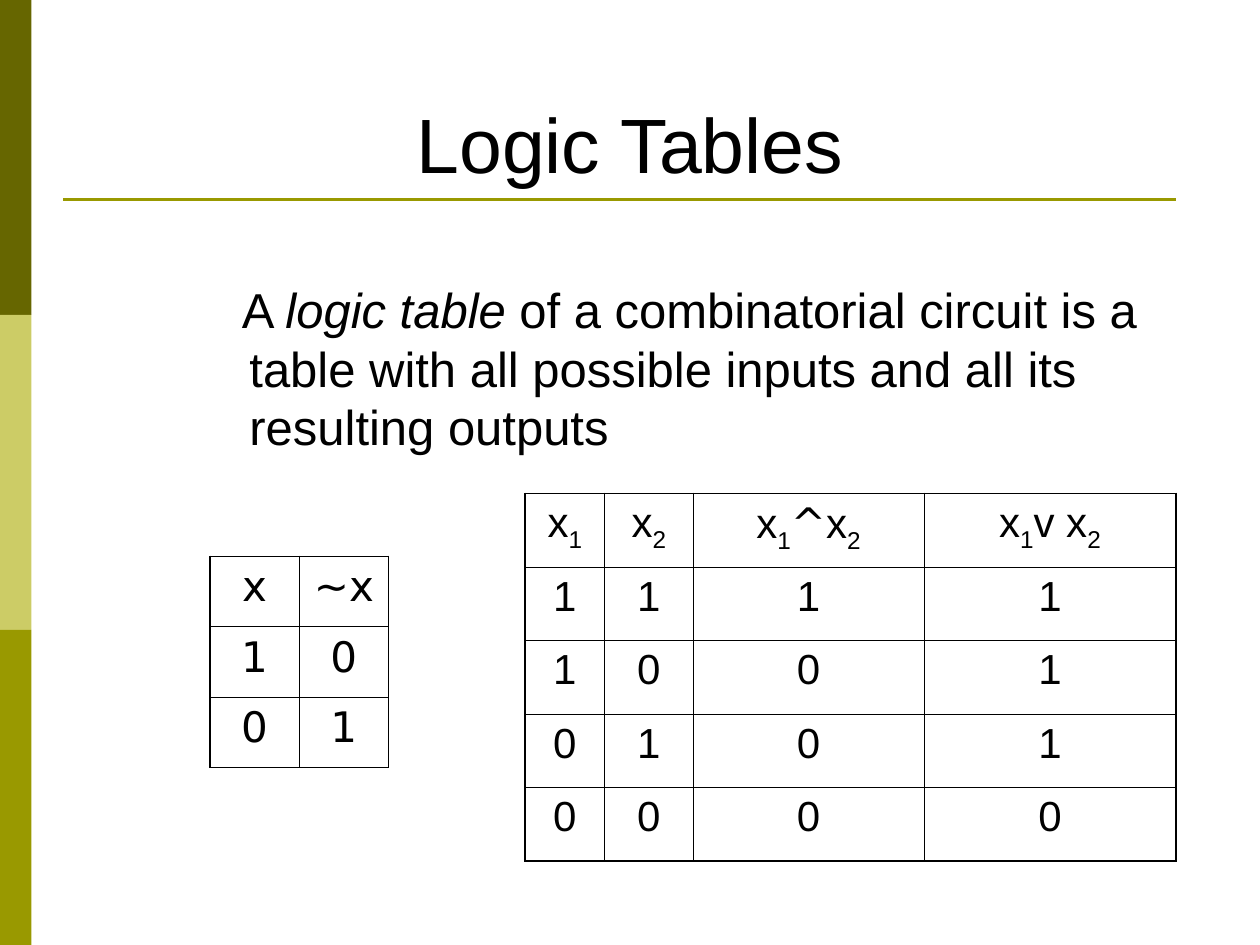
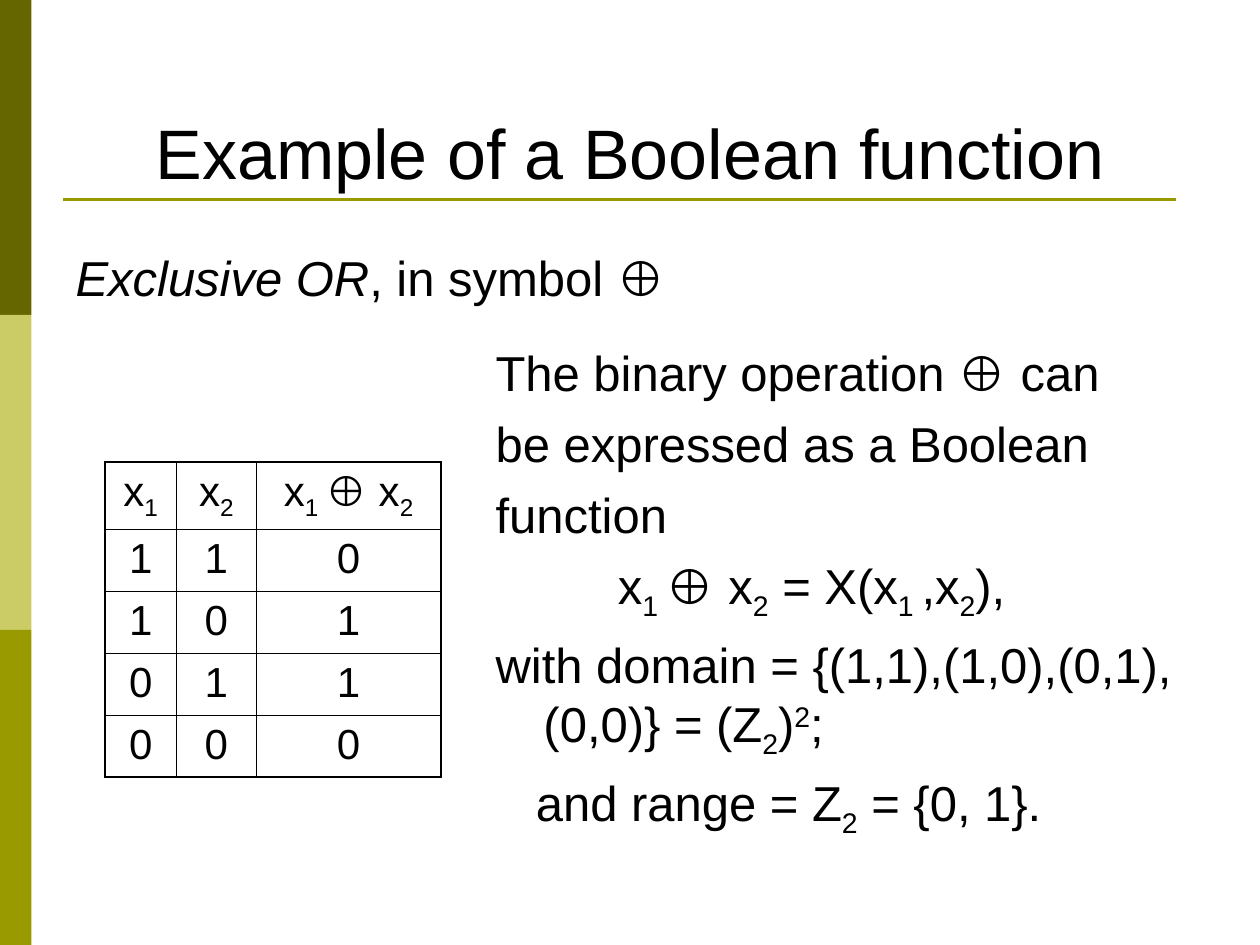
import pptx
import pptx.util
import pptx.dml.color
import pptx.enum.shapes
import pptx.enum.text
import pptx.oxml
import pptx.oxml.ns
from dataclasses import dataclass

UNIT = pptx.util.Inches(10) // 120  # the slide is a grid of 120 columns by 90 rows
ALIGN = pptx.enum.text.PP_ALIGN
RGB = pptx.dml.color.RGBColor.from_string


@dataclass(frozen=True)
class Theme:
    ink: str = "000000"
    rule: str = "999900"
    bands: tuple = ("666600", "CCCC66", "999900")
    face: str = "Arial"
    alt: str = "DejaVu Sans"
    body: int = 28
    cell: int = 24
    gap: int = 7
    thick: float = 0.96
    thin: float = 0.45


theme = Theme()


def write(frame, *lines, size=theme.body, face=theme.face, align=ALIGN.LEFT, dents=()):
    """Fill a frame with lines whose parts are split by "|".

    A part's first letter may set its style: _ subscript, ' superscript,
    * italic, @ other face. Dents hold each line's left margin and first indent.
    """
    for i, line in enumerate(lines):
        para = frame.paragraphs[0] if i == 0 else frame.add_paragraph()
        para.alignment = align
        para.space_before = pptx.util.Pt(theme.gap if i else 0)
        if dents:
            props = para._p.get_or_add_pPr()
            for key, inch in zip(("marL", "indent"), dents[i]):
                props.set(key, str(pptx.util.Inches(inch)))
            props.append(pptx.oxml.parse_xml(f'<a:buNone {pptx.oxml.ns.nsdecls("a")}/>'))
        for part in line.split("|"):
            mark = part[0] if part[0] in "_'*@" else ""
            run = para.add_run()
            run.text = part[len(mark):]
            font = run.font
            font.size = pptx.util.Pt(size)
            font.name = theme.alt if mark == "@" else face
            font.color.rgb = RGB(theme.ink)
            font.italic = mark == "*"
            if mark in ("_", "'"):
                run._r.get_or_add_rPr().set("baseline", "-25000" if mark == "_" else "30000")


def chart(slide, left, top, cols, rows, data, face=theme.face):
    """Draw a truth table with a thick frame and thin inner lines."""
    box = [round(n * UNIT) for n in (left, top, sum(cols), sum(rows))]
    table = slide.shapes.add_table(len(rows), len(cols), *box).table
    table.first_row = table.horz_banding = False
    for col, wide in zip(table.columns, cols):
        col.width = round(wide * UNIT)
    for y, (row, high) in enumerate(zip(table.rows, rows)):
        row.height = round(high * UNIT)
        for x, cell in enumerate(row.cells):
            write(cell.text_frame, data[y][x], size=theme.cell, face=face, align=ALIGN.CENTER)
            edges = {"L": x == 0, "R": x == len(cols) - 1, "T": y == 0, "B": y == len(rows) - 1}
            props = cell._tc.get_or_add_tcPr()
            for side, outer in edges.items():
                width = pptx.util.Pt(theme.thick if outer else theme.thin)
                props.append(pptx.oxml.parse_xml(
                    f'<a:ln{side} {pptx.oxml.ns.nsdecls("a")} w="{width}"><a:solidFill>'
                    f'<a:srgbClr val="{theme.ink}"/></a:solidFill></a:ln{side}>'))
            cell.fill.background()


deck = pptx.Presentation()
deck.slide_width, deck.slide_height = 120 * UNIT, 90 * UNIT

hang = (0.38, -0.38)
pages = [
    (1, "Logic Tables", 44, 15, [
        ((18, 26, 92, 28),
         ["A |*logic table| of a combinatorial circuit is a table with all possible "
          "inputs and all its resulting outputs"],
         [(0.38, -0.06)]),
    ]),
    (3, "Example of a Boolean function", 40, 15.4, [
        ((6, 23, 65, 62), ["*Exclusive OR|, in symbol ⊕"], [hang]),
        ((46, 32, 70, 58),
         ["The binary operation ⊕ can",
          "be expressed as a Boolean",
          "function",
          "x|_1 |⊕ x|_2| = X(x|_1 |,x|_2|),",
          "with domain = {(1,1),(1,0),(0,1),(0,0)} = (Z|_2|)|'2|;",
          "and range = Z|_2| = {0, 1}."],
         [hang, hang, hang, (0.97, 0), hang, (0.32, 0)]),
    ]),
]

for layout, title, size, high, bodies in pages:
    slide = deck.slides.add_slide(deck.slide_layouts[layout])
    head, *holders = slide.placeholders
    texts = [((6, 3.6, 108, high), [title], ())] + bodies
    for holder, (box, lines, dents) in zip([head] + holders, texts):
        holder.left, holder.top, holder.width, holder.height = [round(n * UNIT) for n in box]
        frame = holder.text_frame
        frame.word_wrap = True
        frame.auto_size = pptx.enum.text.MSO_AUTO_SIZE.NONE
        if holder is head:
            frame.vertical_anchor = pptx.enum.text.MSO_ANCHOR.BOTTOM
            write(frame, *lines, size=size, align=ALIGN.CENTER)
        else:
            frame.vertical_anchor = pptx.enum.text.MSO_ANCHOR.TOP
            write(frame, *lines, dents=dents)

logic, xor = deck.slides

# Side bands and title rule, moved to the master so every slide shows them
marks = []
for i, color in enumerate(theme.bands):
    band = logic.shapes.add_shape(
        pptx.enum.shapes.MSO_SHAPE.RECTANGLE, 0, i * 30 * UNIT, 3 * UNIT, 30 * UNIT)
    band.shadow.inherit = False
    band.fill.solid()
    band.fill.fore_color.rgb = RGB(color)
    band.line.fill.background()
    marks.append(band)
rule = logic.shapes.add_connector(
    pptx.enum.shapes.MSO_CONNECTOR.STRAIGHT, 6 * UNIT, 19 * UNIT, 112 * UNIT, 19 * UNIT)
rule.line.color.rgb = RGB(theme.rule)
rule.line.width = pptx.util.Pt(1.5)
rule.element.spPr.append(pptx.oxml.parse_xml(f'<a:effectLst {pptx.oxml.ns.nsdecls("a")}/>'))
for i, mark in enumerate(marks + [rule]):
    mark.element.xpath(".//p:cNvPr")[0].set("id", str(20 + i))
    deck.slide_master.shapes.element.append(mark.element)

chart(logic, 50, 47, (7.6, 8.4, 22, 24), [7] * 5,
      [["x|_1", "x|_2", "x|_1|@^|x|_2", "x|_1|v x|_2"], "1111", "1001", "0101", "0000"])
chart(logic, 20, 53, [8.5] * 2, [6.7] * 3, [["x", "~x"], "10", "01"], face=theme.alt)
chart(xor, 10, 44, (6.8, 7.6, 17.6), [6.4] + [5.9] * 4,
      [["x|_1", "x|_2", "x|_1 |⊕ x|_2"], "110", "101", "011", "000"])

deck.save("out.pptx")
